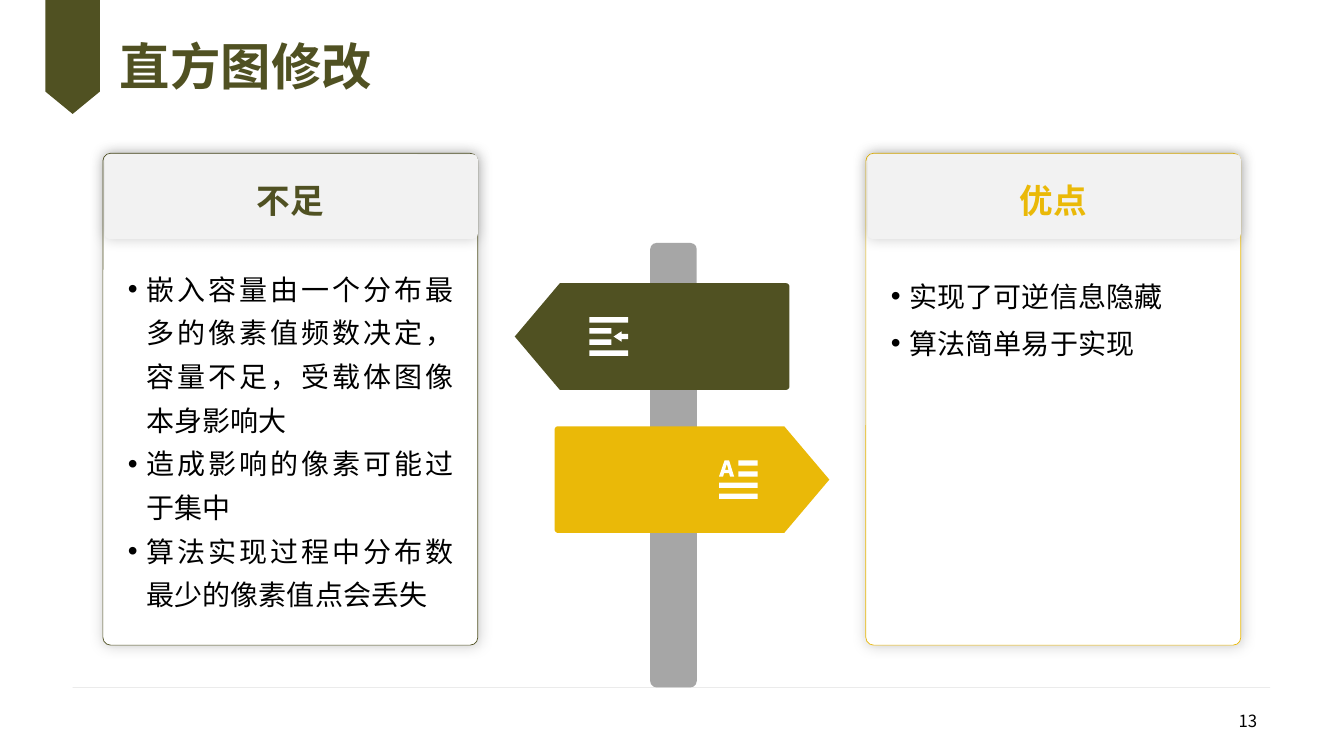
from math import cos, sin, radians

from lxml.etree import SubElement
from pptx import Presentation
from pptx.dml.color import RGBColor
from pptx.enum.shapes import MSO_CONNECTOR as Connector, MSO_SHAPE as Shape
from pptx.enum.text import MSO_ANCHOR as Anchor, PP_ALIGN as Align
from pptx.oxml.ns import qn
from pptx.util import Pt

FONT = "Noto Sans CJK SC"
OLIVE, GOLD, WHITE, BLACK = "505122", "EAB908", "FFFFFF", "000000"
PALE, GREY, RULE = "F2F2F2", "A6A6A6", "BFBFBF"

BAR = 3.8
ROWS = [0, 7.9, 15.9, 23.8]
ICON = 27.6


def color(value):
    return RGBColor.from_string(value)


def set_values(target, values):
    for name, value in values.items():
        setattr(target, name, value)


def paint(shape, fill, line=None):
    shape.shadow.inherit = False
    shape.fill.solid()
    shape.fill.fore_color.rgb = color(fill)
    if line:
        shape.line.color.rgb = color(line)
        shape.line.width = Pt(0.5)
    else:
        shape.line.fill.background()


def add_glow(shape):
    effects = shape._element.spPr.find(qn("a:effectLst"))
    shadow = SubElement(effects, qn("a:outerShdw"), blurRad=str(Pt(10)), dist="0", dir="0",
                        algn="ctr", rotWithShape="0")
    tint = SubElement(shadow, qn("a:srgbClr"), val=BLACK)
    SubElement(tint, qn("a:alpha"), val="20000")


def add_rounded(shapes, box, radius, fill, line=None):
    shape = shapes.add_shape(Shape.ROUNDED_RECTANGLE, *map(Pt, box))
    shape.adjustments[0] = radius / min(box[2:])
    paint(shape, fill, line)
    return shape


def add_outline(shapes, left, top, contours, fill):
    placed = [[(Pt(left + x), Pt(top + y)) for x, y in contour] for contour in contours]
    builder = shapes.build_freeform(*placed[0][0], scale=1.0)
    for index, contour in enumerate(placed):
        if index:
            builder.move_to(*contour[0])
        builder.add_line_segments(contour[1:], close=True)
    shape = builder.convert_to_shape()
    paint(shape, fill)
    return shape


def add_text(slide, box, lines, size, ink, bold=False, align=Align.LEFT, spacing=1.0,
             anchor=Anchor.MIDDLE, margins=(7.2, 3.6), bullet=False):
    frame = slide.shapes.add_textbox(*map(Pt, box)).text_frame
    side, end = map(Pt, margins)
    set_values(frame, {"word_wrap": True, "vertical_anchor": anchor, "margin_left": side,
                       "margin_right": side, "margin_top": end, "margin_bottom": end})
    for index, line in enumerate(lines):
        paragraph = frame.add_paragraph() if index else frame.paragraphs[0]
        set_values(paragraph, {"alignment": align, "line_spacing": spacing})
        run = paragraph.add_run()
        run.text = line
        run.font.color.rgb = color(ink)
        set_values(run.font, {"size": Pt(size), "bold": bold, "name": FONT})
        SubElement(run.font._element, qn("a:ea"), typeface=FONT)
        if bullet:
            properties = paragraph._p.get_or_add_pPr()
            properties.set("marL", str(Pt(13.5)))
            properties.set("indent", str(Pt(-13.5)))
            SubElement(properties, qn("a:buFont"), typeface="Arial")
            SubElement(properties, qn("a:buChar"), char="•")


def add_heading(slide, left, top, width, height, title):
    half = width / 2
    shoulder = height - 16
    ribbon = [(0, 0), (width, 0), (width, shoulder), (half, height), (0, shoulder)]
    add_outline(slide.shapes, left, top, [ribbon], OLIVE)
    add_text(slide, (left + 53.3, 18.7, 643, 62), [title], 36, OLIVE, bold=True,
             spacing=0.9, margins=(0, 0))


def add_footer(slide, left, top, width, number):
    rule = slide.shapes.add_connector(Connector.STRAIGHT, Pt(left), Pt(top),
                                      Pt(left + width), Pt(top))
    rule.line.color.rgb = color(RULE)
    rule.line.width = Pt(0.25)
    SubElement(rule._element.spPr, qn("a:effectLst"))
    tint = rule._element.spPr.find(".//" + qn("a:srgbClr"))
    SubElement(tint, qn("a:alpha"), val="47000")
    add_text(slide, (left + width - 218, top + 9.4, 216, 28.8), [number], 12, BLACK,
             align=Align.RIGHT)


def add_card(slide, left, top, width, height, heading, points, accent, body_top, spacing):
    add_glow(add_rounded(slide.shapes, (left, top, width, height), 5.5, WHITE, accent))
    add_glow(add_rounded(slide.shapes, (left + 1.3, top + 0.7, width - 1.3, 60.5), 3.6, PALE))
    add_text(slide, (left + 21.4, top + 3.6, width - 42.8, 50.4), [heading], 24, accent,
             bold=True, align=Align.CENTER, spacing=1.3)
    add_text(slide, (left + 17.9, top + body_top, 232.6, 265.5), points, 20, BLACK,
             align=Align.JUSTIFY, spacing=spacing, anchor=Anchor.TOP, margins=(0, 3.6),
             bullet=True)


def bar(left, top, width):
    return [(left, top), (left + width, top), (left + width, top + BAR), (left, top + BAR)]


def indent_icon():
    arrow = [(23, 10.1), (23, 11.9), (ICON, 11.9), (ICON, 15.7), (23, 15.7), (23, 17.5),
             (17.3, 13.8)]
    widths = [ICON, 15.8, 15.8, ICON]
    return [bar(0, top, width) for top, width in zip(ROWS, widths)] + [arrow]


def letter_icon():
    letter = [(4, 0), (7.2, 0), (10.8, 11.7), (7.9, 11.7), (7.2, 9.2), (3.6, 9.2),
              (2.9, 11.7), (0, 11.7)]
    counter = [(5.6, 2.6), (4.3, 6.9), (6.8, 6.9)]
    lefts = [13.8, 13.8, 0, 0]
    return [bar(left, top, ICON - left) for top, left in zip(ROWS, lefts)] + [letter, counter]


def add_sign(shapes, left, top, width, height, fill, icon, icon_left, points_right):
    radius, tip = 2.5, 32.2
    corners = [(radius + radius * cos(radians(angle)), middle + radius * sin(radians(angle)))
               for middle, start in ((height - radius, 90), (radius, 180))
               for angle in range(start, start + 91, 15)]
    outline = corners + [(width - tip, 0), (width, height / 2), (width - tip, height)]
    if not points_right:
        outline = [(width - x, y) for x, y in outline]
    add_outline(shapes, left, top, [outline], fill)
    add_outline(shapes, left + icon_left, top + (height - ICON) / 2, icon, WHITE)


def add_signpost(slide, left, top, width, height):
    shapes = slide.shapes.add_group_shape().shapes
    add_rounded(shapes, (left + 96.7, top, 33.3, height), 4.6, GREY)
    sign_width, sign_height = 196.2, 76.2
    add_sign(shapes, left + width - sign_width, top + 131, sign_width, sign_height,
             GOLD, letter_icon(), 117.4, True)
    add_sign(shapes, left, top + 28.8, sign_width, sign_height,
             OLIVE, indent_icon(), 53.3, False)


def build_comparison(slide):
    add_footer(slide, 51.8, 491, 855.4, "13")
    add_heading(slide, 32.4, -8, 39, 89.4, "直方图修改")
    add_card(slide, 73.5, 109.5, 267.8, 351.3, "不足", [
        "嵌入容量由一个分布最多的像素值频数决定，容量不足，受载体图像本身影响大",
        "造成影响的像素可能过于集中",
        "算法实现过程中分布数最少的像素值点会丢失",
    ], OLIVE, 74.1, 1.3)
    add_card(slide, 618.5, 109.5, 267.8, 351.3, "优点", [
        "实现了可逆信息隐藏",
        "算法简单易于实现",
    ], GOLD, 77, 1.4)
    add_signpost(slide, 367.7, 173.5, 224.7, 317.5)


def main():
    presentation = Presentation()
    set_values(presentation, {"slide_width": Pt(960), "slide_height": Pt(540)})
    build_comparison(presentation.slides.add_slide(presentation.slide_layouts[6]))
    presentation.save("out.pptx")


if __name__ == "__main__":
    main()
